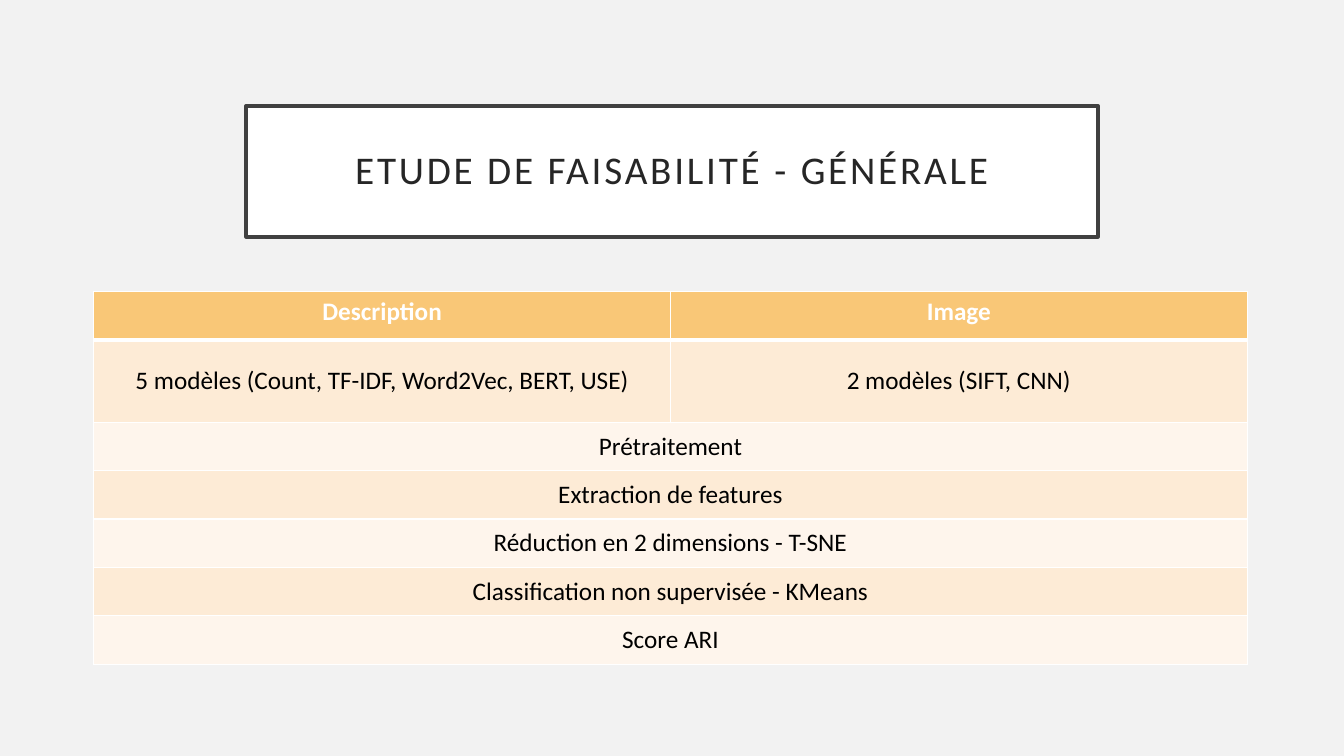
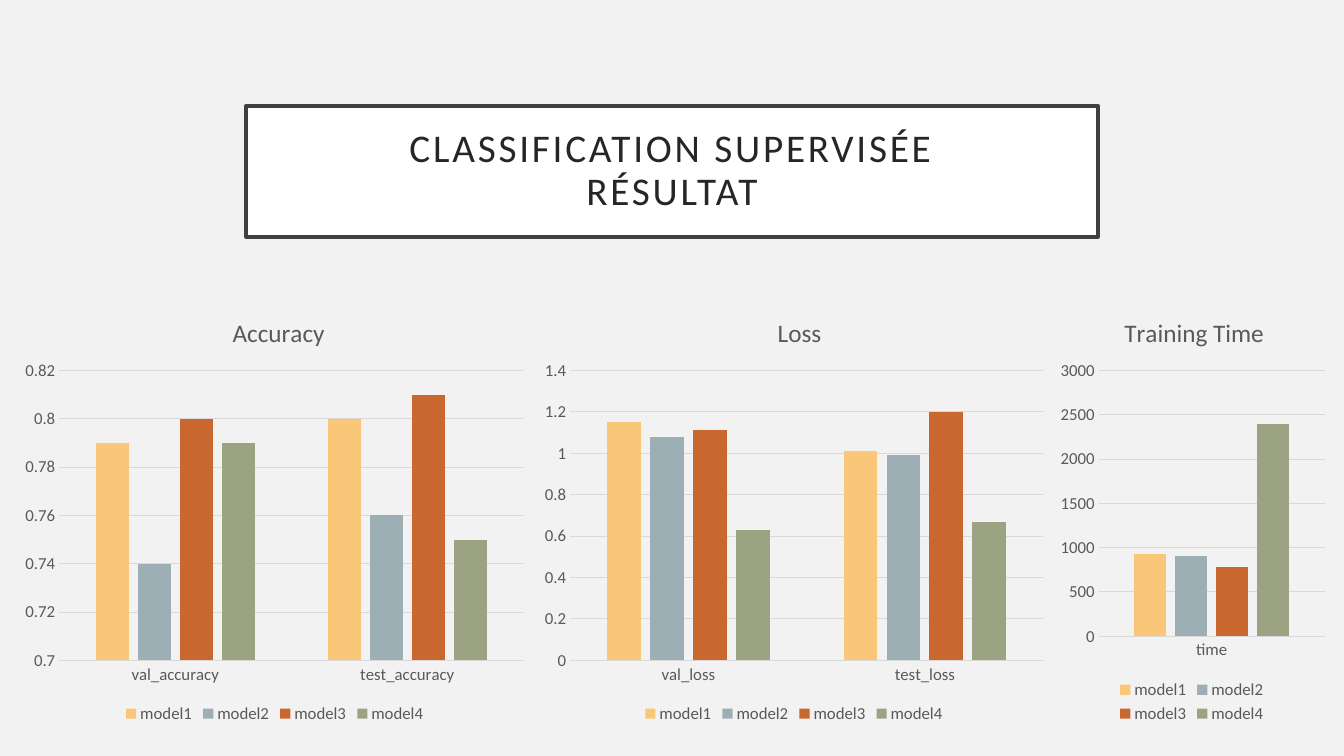
from lxml import etree
from pptx import Presentation
from pptx.chart.data import CategoryChartData
from pptx.dml.color import RGBColor
from pptx.enum.chart import XL_CHART_TYPE, XL_LEGEND_POSITION, XL_TICK_MARK
from pptx.enum.text import MSO_ANCHOR, MSO_AUTO_SIZE, PP_ALIGN
from pptx.oxml.ns import qn
from pptx.util import Inches, Pt

CENTER = PP_ALIGN.CENTER
TOP, MIDDLE = MSO_ANCHOR.TOP, MSO_ANCHOR.MIDDLE
NO_TICK = XL_TICK_MARK.NONE
TITLE_ONLY = 5

FONT = "Calibri"
BACKGROUND = "F2F2F2"
WHITE, BLACK = "FFFFFF", "000000"
TITLE_TEXT, TITLE_LINE = "262626", "404040"
HEADER = "F9C777"
BANDS = ("FDEBD6", "FEF5EC")
CHART_TEXT, GRID = "595959", "D9D9D9"
MODEL_COLORS = ("F9C777", "9BAFB5", "C96731", "9CA383")

TABLE_ROWS = [
    ("Description", "Image"),
    ("5 modèles (Count, TF-IDF, Word2Vec, BERT, USE)", "2 modèles (SIFT, CNN)"),
    ("Prétraitement",),
    ("Extraction de features",),
    ("Réduction en 2 dimensions - T-SNE",),
    ("Classification non supervisée - KMeans",),
    ("Score ARI",),
]

# One list of values per model, in the order of the categories.
# Layouts are fractions of the chart: title (x, y), plot (x, y, width, height).
CHARTS = [
    dict(title="Accuracy", left=0.15, width=5.15,
         categories=["val_accuracy", "test_accuracy"],
         models=[(0.79, 0.8), (0.74, 0.76), (0.8, 0.81), (0.79, 0.75)],
         scale=(0.7, 0.82, 0.02),
         title_at=(0.41, 0.05), plot_at=(0.085, 0.187, 0.894, 0.66)),
    dict(title="Loss", left=5.3, width=5.15,
         categories=["val_loss", "test_loss"],
         models=[(1.15, 1.01), (1.08, 0.99), (1.11, 1.2), (0.63, 0.67)],
         scale=(0, 1.4, 0.2),
         title_at=(0.46, 0.05), plot_at=(0.069, 0.187, 0.911, 0.66)),
    dict(title="Training Time", left=10.45, width=2.74,
         categories=["time"],
         models=[(930,), (910,), (780,), (2390,)],
         scale=(0, 3000, 500),
         title_at=(0.24, 0.05), plot_at=(0.163, 0.187, 0.819, 0.605)),
]


def rgb(value):
    return RGBColor.from_string(value)


def set_fill(fill, color):
    fill.solid()
    fill.fore_color.rgb = rgb(color)


def set_font(font, size, color, bold=False):
    font.name = FONT
    font.size = Pt(size)
    font.bold = bold
    font.color.rgb = rgb(color)


def set_line(line, color, width):
    set_fill(line.fill, color)
    line.width = Pt(width)


def add_titled_slide(prs, text):
    """Add a slide with the boxed, letter-spaced title; a \\v breaks the line."""
    slide = prs.slides.add_slide(prs.slide_layouts[TITLE_ONLY])
    sp = slide.shapes.title
    sp.left, sp.top = Inches(2.44), Inches(1.05)
    sp.width, sp.height = Inches(8.45), Inches(1.3)
    set_fill(sp.fill, WHITE)
    set_line(sp.line, TITLE_LINE, 2.5)
    tf = sp.text_frame
    tf.auto_size = MSO_AUTO_SIZE.NONE
    tf.word_wrap = True
    tf.vertical_anchor = MIDDLE
    tf.margin_left = tf.margin_right = Inches(0.2)
    tf.margin_top = tf.margin_bottom = Inches(0.2)
    p = tf.paragraphs[0]
    p.text = text
    p.alignment = CENTER
    p.line_spacing = 0.9
    set_font(p.font, 28, TITLE_TEXT)
    p._p.pPr.find(qn("a:defRPr")).set("spc", "200")
    return slide


def set_borders(cell, top=1, bottom=1):
    """Give a cell white borders, 1 pt wide at the sides."""
    tc_pr = cell._tc.get_or_add_tcPr()
    widths = {"lnL": 1, "lnR": 1, "lnT": top, "lnB": bottom}
    for i, (side, width) in enumerate(widths.items()):
        ln = etree.Element(qn(f"a:{side}"), w=str(Pt(width)))
        fill = etree.SubElement(ln, qn("a:solidFill"))
        etree.SubElement(fill, qn("a:srgbClr"), val=WHITE)
        tc_pr.insert(i, ln)


def add_steps_table(slide, rows):
    """Add a two-column table; a row with a single text spans both columns."""
    frame = slide.shapes.add_table(len(rows), 2, Inches(0.93), Inches(2.89),
                                   Inches(11.44), Inches(3.7))
    table = frame.table
    for i, texts in enumerate(rows):
        is_header = i == 0
        table.rows[i].height = Inches(0.82 if i == 1 else 0.48)
        for j in range(2):
            cell = table.cell(i, j)
            set_fill(cell.fill, HEADER if is_header else BANDS[(i - 1) % 2])
            set_borders(cell, top=3 if i == 1 else 1, bottom=3 if is_header else 1)
        if len(texts) == 1:
            table.cell(i, 0).merge(table.cell(i, 1))
        for j, text in enumerate(texts):
            cell = table.cell(i, j)
            cell.vertical_anchor = TOP if is_header else MIDDLE
            p = cell.text_frame.paragraphs[0]
            p.text = text
            p.alignment = CENTER
            set_font(p.font, 18, WHITE if is_header else BLACK, is_header)


def set_layout(element, previous, **fractions):
    """Fix the place of a chart part, after the child named previous if any."""
    for old in element.findall(qn("c:layout")):
        element.remove(old)
    layout = etree.Element(qn("c:layout"))
    manual = etree.SubElement(layout, qn("c:manualLayout"))
    if "w" in fractions:
        etree.SubElement(manual, qn("c:layoutTarget"), val="inner")
    for axis in "xy":
        etree.SubElement(manual, qn(f"c:{axis}Mode"), val="edge")
    for name, value in fractions.items():
        etree.SubElement(manual, qn(f"c:{name}"), val=str(value))
    if previous:
        element.find(qn(previous)).addnext(layout)
    else:
        element.insert(0, layout)


def style_axes(chart, scale):
    for axis in (chart.category_axis, chart.value_axis):
        axis.major_tick_mark = axis.minor_tick_mark = NO_TICK
        set_font(axis.tick_labels.font, 12, CHART_TEXT)
    set_line(chart.category_axis.format.line, GRID, 0.75)
    values = chart.value_axis
    values.minimum_scale, values.maximum_scale, values.major_unit = scale
    values.format.line.fill.background()
    set_line(values.major_gridlines.format.line, GRID, 0.75)


def add_model_chart(slide, title, left, width, categories, models, scale,
                    title_at, plot_at):
    """Add a column chart that compares the models."""
    data = CategoryChartData()
    data.categories = categories
    for number, values in enumerate(models, 1):
        data.add_series(f"model{number}", values)
    chart = slide.shapes.add_chart(
        XL_CHART_TYPE.COLUMN_CLUSTERED, Inches(left), Inches(2.86),
        Inches(width), Inches(4.36), data).chart
    set_font(chart.font, 10, BLACK)

    chart.has_title = True
    p = chart.chart_title.text_frame.paragraphs[0]
    p.text = title
    set_font(p.font, 18, CHART_TEXT)
    set_layout(chart.chart_title._element, "c:tx", **dict(zip("xy", title_at)))
    plot_area = chart._chartSpace.chart.plotArea
    set_layout(plot_area, None, **dict(zip("xywh", plot_at)))

    chart.has_legend = True
    chart.legend.position = XL_LEGEND_POSITION.BOTTOM
    chart.legend.include_in_layout = False
    set_font(chart.legend.font, 12, CHART_TEXT)

    plot = chart.plots[0]
    plot.gap_width, plot.overlap = 219, -27
    plot.vary_by_categories = False
    for series, color in zip(plot.series, MODEL_COLORS):
        set_fill(series.format.fill, color)
    style_axes(chart, scale)


def main():
    prs = Presentation()
    prs.slide_width, prs.slide_height = Inches(13.33), Inches(7.5)
    set_fill(prs.slide_master.background.fill, BACKGROUND)

    slide = add_titled_slide(prs, "ETUDE DE FAISABILITÉ - GÉNÉRALE")
    add_steps_table(slide, TABLE_ROWS)

    slide = add_titled_slide(prs, "CLASSIFICATION SUPERVISÉE\vRÉSULTAT")
    for chart in CHARTS:
        add_model_chart(slide, **chart)

    prs.save("out.pptx")


if __name__ == "__main__":
    main()
